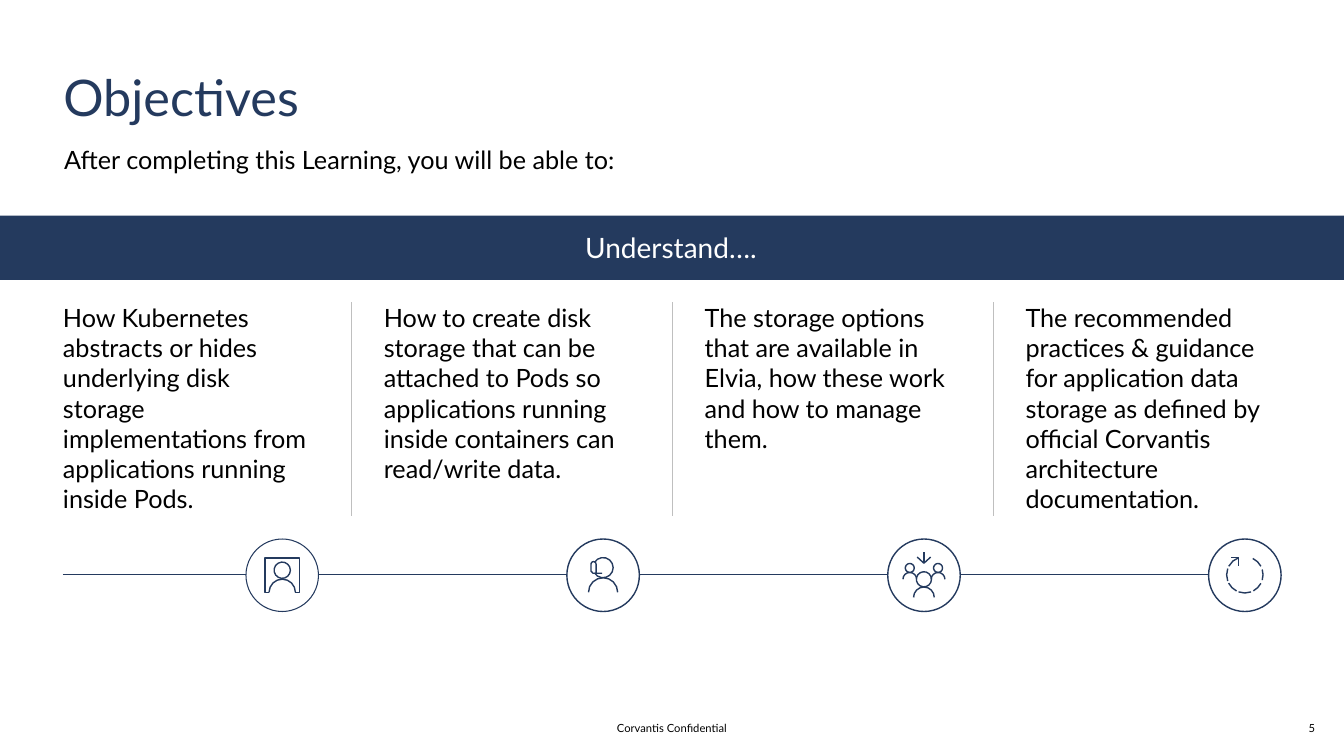
from math import cos, radians, sin

from lxml import etree
from pptx import Presentation
from pptx.dml.color import RGBColor
from pptx.enum.shapes import MSO_CONNECTOR, MSO_SHAPE
from pptx.enum.text import MSO_ANCHOR, MSO_AUTO_SIZE, PP_ALIGN
from pptx.oxml.ns import qn
from pptx.util import Pt

LEFT, CENTER = PP_ALIGN.LEFT, PP_ALIGN.CENTER
TOP, MIDDLE = MSO_ANCHOR.TOP, MSO_ANCHOR.MIDDLE
NO_FIT = MSO_AUTO_SIZE.NONE
RECTANGLE, OVAL = MSO_SHAPE.RECTANGLE, MSO_SHAPE.OVAL
STRAIGHT = MSO_CONNECTOR.STRAIGHT
NAVY, BLACK, WHITE, GRAY = "243A5E", "000000", "FFFFFF", "BFBFBF"
FONT = "Lato"
COLUMN_STEP, COLUMN_WIDTH = 229.2, 182.2
DIVIDER_GAP = 23.3
CIRCLE = 51.8


def color(value):
    """Return the colour for a hex string."""
    return RGBColor.from_string(value)


def arc(cx, cy, radius, start, end):
    """Return points along an arc, in degrees clockwise from the right."""
    steps = max(2, round(abs(end - start) / 24))
    angles = [radians(start + (end - start) * i / steps) for i in range(steps + 1)]
    return [(cx + radius * cos(a), cy + radius * sin(a)) for a in angles]


def person(cx, head_y, head, body_y, body):
    """Return the strokes of a head and shoulders."""
    return [arc(cx, head_y, head, 0, 360), arc(cx, body_y, body, 180, 360)]


PORTRAIT = person(0, -3.6, 5.8, 12.2, 9.4) + [
    [(-9.4, 12.2), (-12.2, 12.2), (-12.2, -12.2), (12.2, -12.2), (12.2, 12.2), (9.4, 12.2)]]
HEADSET = [
    arc(0, -5.4, 7.2, 148, -148),
    arc(0, 12.2, 10.4, 180, 360),
    [(-5, -1.4)] + arc(-6.8, -7.9, 1.8, 0, -180) + [(-8.6, -2.9), (-7.2, -1.4), (-0.7, -1.4)]]
TEAM = person(0, 2.9, 5.4, 15.8, 7.4) + [
    stroke for x in (-10.1, 10.1) for stroke in person(x, -5.2, 3.2, 2.9, 4.9)] + [
    [(0, -16.6), (0, -8.6)], [(-4.8, -13), (0, -8.6), (4.8, -13)]]
CYCLE = [arc(0, -0.3, 13, start, end) for start, end in (
    (-64, -28), (-17, 17), (28, 62), (70, 110), (117, 153), (160, 200), (208, 250))] + [
    [(-4.3, -6.9), (-4.3, -12.7), (-10, -12.7)]]

OBJECTIVES = [
    ("How Kubernetes abstracts or hides underlying disk storage implementations "
     "from applications running inside Pods.", PORTRAIT),
    ("How to create disk storage that can be attached to Pods so applications "
     "running inside containers can read/write data.", HEADSET),
    ("The storage options that are available in Elvia, how these work and how "
     "to manage them.", TEAM),
    ("The recommended practices & guidance for application data storage as "
     "defined by official Corvantis architecture documentation.", CYCLE),
]


def write(sp, text, size, fill, align=LEFT, anchor=TOP):
    """Write one paragraph into a shape and return the paragraph."""
    tf = sp.text_frame
    tf.word_wrap = True
    tf.auto_size = NO_FIT
    tf.vertical_anchor = anchor
    tf.margin_left = tf.margin_right = tf.margin_top = tf.margin_bottom = 0
    p = tf.paragraphs[0]
    p.alignment = align
    r = p.add_run()
    r.text = text
    r.font.name = FONT
    r.font.size = Pt(size)
    r.font.color.rgb = color(fill)
    return p


def add_text(s, box, *args):
    """Add a text box and return its paragraph."""
    return write(s.shapes.add_textbox(*map(Pt, box)), *args)


def add_line(s, x1, y1, x2, y2, stroke, width):
    """Add a straight line without a shadow."""
    line = s.shapes.add_connector(STRAIGHT, *map(Pt, (x1, y1, x2, y2)))
    line.line.color.rgb = color(stroke)
    line.line.width = Pt(width)
    etree.SubElement(line._element.spPr, qn("a:effectLst"))


def add_icon(s, cx, cy, strokes):
    """Draw an icon's strokes around a centre as one outline."""
    first, *rest = [[(Pt(cx + x), Pt(cy + y)) for x, y in stroke] for stroke in strokes]
    builder = s.shapes.build_freeform(*first[0])
    builder.add_line_segments(first[1:], close=False)
    for stroke in rest:
        builder.move_to(*stroke[0])
        builder.add_line_segments(stroke[1:], close=False)
    sp = builder.convert_to_shape()
    sp.shadow.inherit = False
    sp.fill.background()
    sp.line.color.rgb = color(NAVY)
    sp.line.width = Pt(1)


def add_heading(s, x, y, width):
    """Place the title and the sentence under it."""
    title = s.shapes.title
    title.left, title.top, title.width, title.height = map(Pt, (x, y, width, 44))
    write(title, "Objectives", 36, NAVY)
    add_text(s, (x + 0.7, y + 55.5, width, 21.6),
             "After completing this Learning, you will be able to:", 18, BLACK)


def add_band(s, x, y, width, height):
    """Add the full-width banner."""
    sp = s.shapes.add_shape(RECTANGLE, *map(Pt, (x, y, width, height)))
    sp.shadow.inherit = False
    sp.fill.solid()
    sp.fill.fore_color.rgb = color(NAVY)
    sp.line.fill.background()
    write(sp, "Understand….", 20, WHITE, CENTER, MIDDLE)
    sp.text_frame.margin_bottom = Pt(1)


def add_objective(s, x, y, height, text, strokes, line_width):
    """Add one column with its text and its circled icon."""
    p = add_text(s, (x, y, COLUMN_WIDTH, height), text, 18, BLACK)
    p.space_after = Pt(2)
    left, top = x + COLUMN_WIDTH - CIRCLE + 0.3, y + 169.2
    sp = s.shapes.add_shape(OVAL, *map(Pt, (left, top, CIRCLE, CIRCLE)))
    sp.shadow.inherit = False
    sp.fill.solid()
    sp.fill.fore_color.rgb = color(WHITE)
    sp.line.color.rgb = color(NAVY)
    sp.line.width = Pt(line_width)
    add_icon(s, left + CIRCLE / 2, top + CIRCLE / 2, strokes)


def add_timeline(s, x, y, width, height):
    """Add the row of objectives along a line."""
    add_line(s, x, y + 194.5, x + width, y + 194.5, NAVY, 1)
    for i, (text, strokes) in enumerate(OBJECTIVES):
        left = x + i * COLUMN_STEP
        if i:
            add_line(s, left - DIVIDER_GAP, y, left - DIVIDER_GAP, y + height, GRAY, 0.5)
        add_objective(s, left, y, height, text, strokes, 1 if i else 0.75)


def add_footer(s, y):
    """Add the footer line and the slide number."""
    add_text(s, (318, y, 324, 9.6), "Corvantis Confidential", 8, BLACK, CENTER, MIDDLE)
    add_text(s, (921, y, 32, 9.6), "5", 8, BLACK, CENTER, MIDDLE)


def main():
    """Build and save the slide."""
    prs = Presentation()
    prs.slide_width, prs.slide_height = Pt(960), Pt(540)
    s = prs.slides.add_slide(prs.slide_layouts[5])
    add_heading(s, 45.2, 47.5, 867.6)
    add_band(s, -1.4, 154, 961.4, 46)
    add_timeline(s, 45, 215.8, 868.8, 152.8)
    add_footer(s, 515)
    prs.save("out.pptx")


if __name__ == "__main__":
    main()
